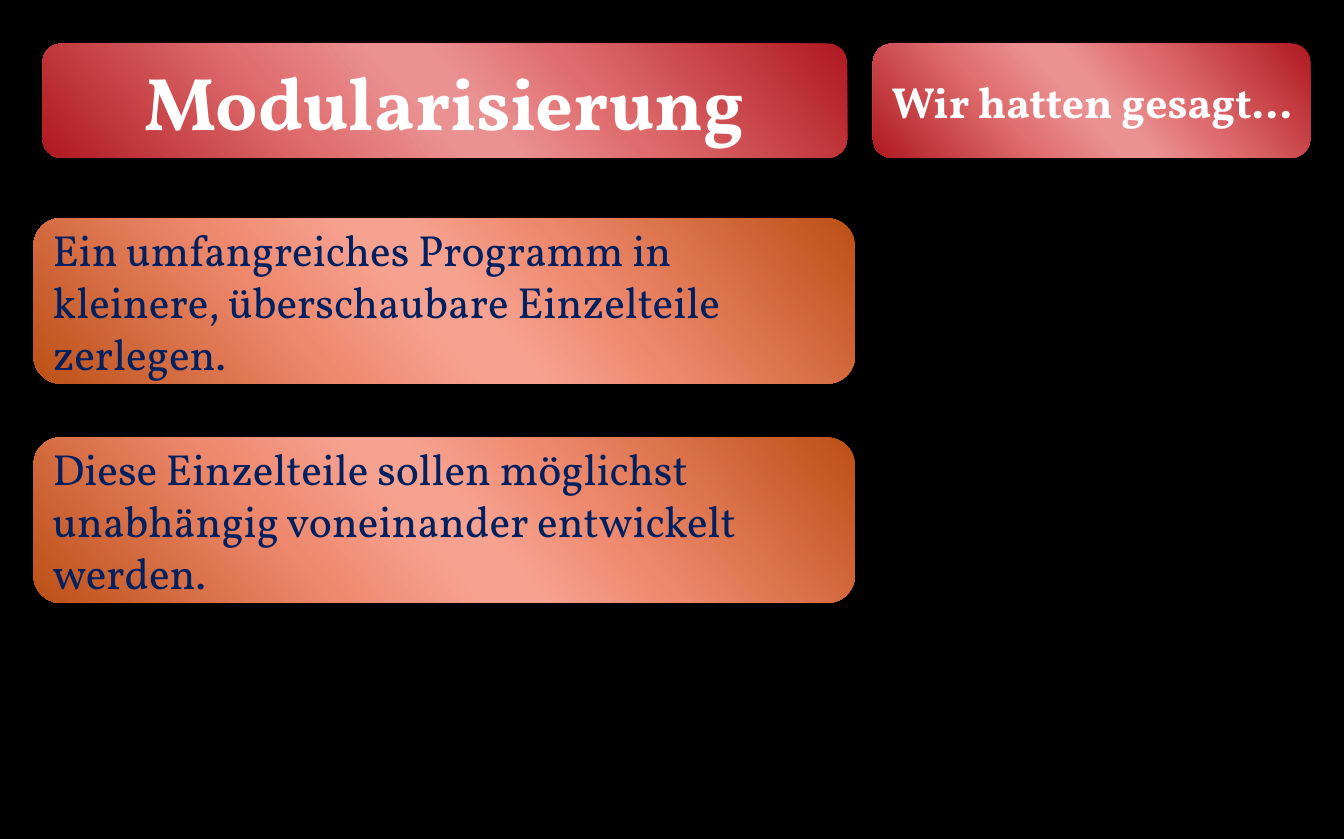
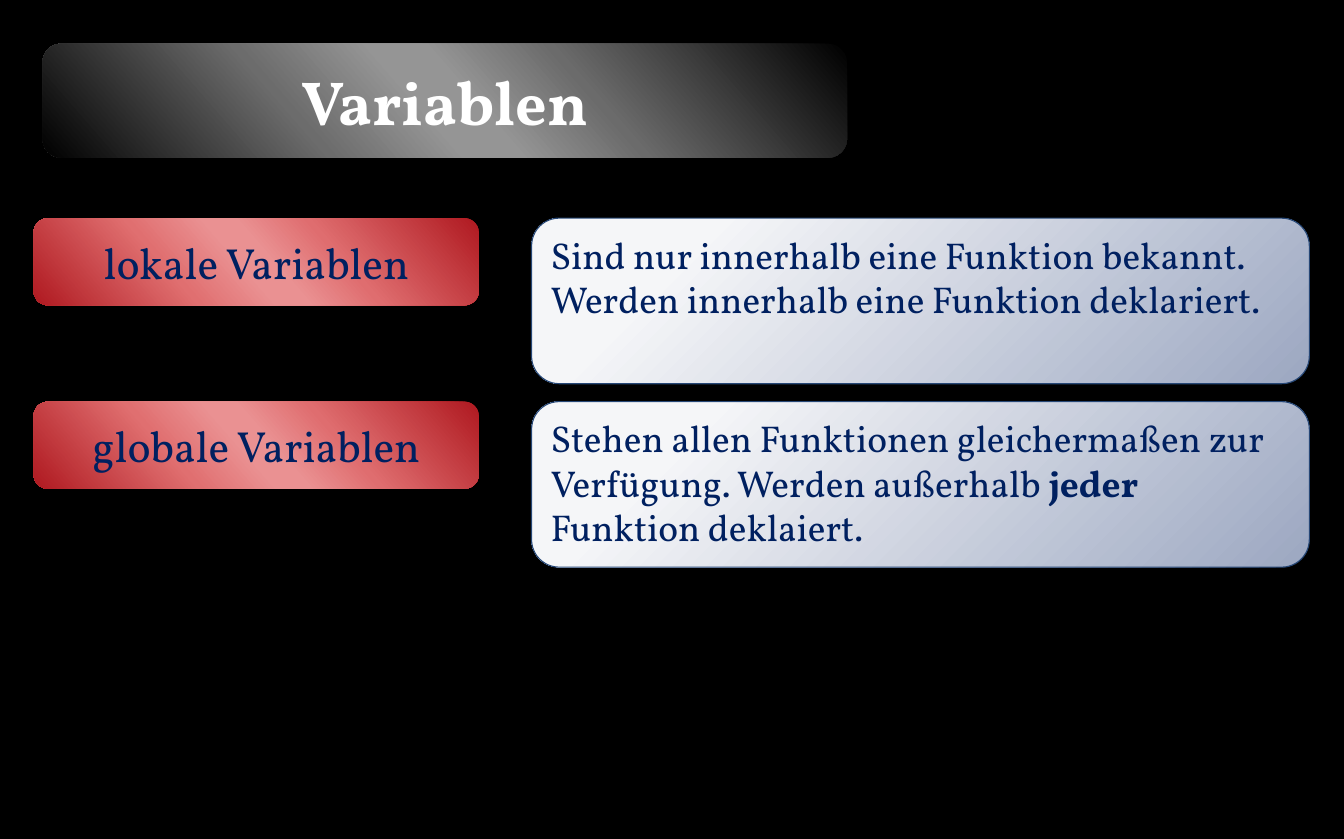
from dataclasses import dataclass

from pptx import Presentation
from pptx.dml.color import RGBColor
from pptx.enum.shapes import MSO_SHAPE
from pptx.enum.text import MSO_ANCHOR, MSO_AUTO_SIZE, PP_ALIGN
from pptx.oxml import parse_xml
from pptx.oxml.ns import nsdecls, qn
from pptx.shapes.autoshape import Shape
from pptx.slide import Slide
from pptx.text.text import TextFrame
from pptx.util import Pt

ROUNDED = MSO_SHAPE.ROUNDED_RECTANGLE
TOP, MIDDLE = MSO_ANCHOR.TOP, MSO_ANCHOR.MIDDLE
LEFT, CENTER = PP_ALIGN.LEFT, PP_ALIGN.CENTER
NO_AUTOFIT = MSO_AUTO_SIZE.NONE
TITLE_ONLY = 5

FONT = "Vollkorn"
BLACK = RGBColor(0x00, 0x00, 0x00)
WHITE = RGBColor(0xFF, 0xFF, 0xFF)
NAVY = RGBColor(0x00, 0x20, 0x60)
CARD_LINE = RGBColor(0x26, 0x47, 0x76)
RED = RGBColor(0xAF, 0x19, 0x20)
RED_SOFT = RGBColor(0xDF, 0x6D, 0x6F)
RED_SOFT_END = RGBColor(0xE0, 0x6F, 0x70)
RED_LIGHT = RGBColor(0xEA, 0x91, 0x92)
ORANGE = RGBColor(0xBC, 0x50, 0x16)
ORANGE_SOFT = RGBColor(0xEE, 0x88, 0x6C)
ORANGE_SOFT_END = RGBColor(0xEE, 0x89, 0x6E)
ORANGE_LIGHT = RGBColor(0xF6, 0xA2, 0x90)
GRAY = RGBColor(0x6B, 0x6B, 0x6B)
GRAY_END = RGBColor(0x6C, 0x6C, 0x6C)
GRAY_LIGHT = RGBColor(0x95, 0x95, 0x95)
CARD_LIGHT = RGBColor(0xF5, 0xF6, 0xF8)
CARD_DARK = RGBColor(0x9C, 0xA7, 0xC1)

# Shared grid, in points
HEAD_TOP, HEAD_HEIGHT = 28.08, 73.44
BODY_LEFT, BODY_TOP = 21.6, 140.4
CARD_HEIGHT = 106.56


@dataclass(frozen=True)
class Area:
    left: float
    top: float
    width: float
    height: float


@dataclass(frozen=True)
class Gradient:
    stops: tuple[tuple[int, RGBColor], ...]
    radial: bool = False


@dataclass(frozen=True)
class Span:
    text: str
    bold: bool = False


def metallic(edge: RGBColor, soft: RGBColor, light: RGBColor, soft_end: RGBColor) -> Gradient:
    """Diagonal gradient with a light band in the middle."""
    return Gradient(((0, edge), (33, soft), (47, light), (53, light), (68, soft_end), (100, edge)))


RED_METAL = metallic(RED, RED_SOFT, RED_LIGHT, RED_SOFT_END)
ORANGE_METAL = metallic(ORANGE, ORANGE_SOFT, ORANGE_LIGHT, ORANGE_SOFT_END)
BLACK_METAL = metallic(BLACK, GRAY, GRAY_LIGHT, GRAY_END)
CARD_GLOW = Gradient(((20, CARD_LIGHT), (100, CARD_DARK)), radial=True)

TITLE_AREA = Area(27.36, HEAD_TOP, 517.68, HEAD_HEIGHT)


def fill_gradient(box: Shape, gradient: Gradient) -> None:
    stops = "".join(
        f'<a:gs pos="{place * 1000}"><a:srgbClr val="{color}"/></a:gs>'
        for place, color in gradient.stops
    )
    if gradient.radial:
        direction = (
            '<a:path path="circle">'
            '<a:fillToRect l="-15000" t="-15000" r="115000" b="115000"/></a:path>'
        )
    else:
        direction = f'<a:lin ang="{139 * 60000}" scaled="0"/>'
    box.fill.gradient()
    properties = box._element.spPr
    properties.replace(
        properties.find(qn("a:gradFill")),
        parse_xml(
            f'<a:gradFill {nsdecls("a")} rotWithShape="1">'
            f"<a:gsLst>{stops}</a:gsLst>{direction}</a:gradFill>"
        ),
    )


def write(frame: TextFrame, *spans: Span, size: float, color: RGBColor = NAVY,
          align: PP_ALIGN = LEFT, anchor: MSO_ANCHOR = MIDDLE) -> None:
    frame.word_wrap = True
    frame.auto_size = NO_AUTOFIT
    frame.vertical_anchor = anchor
    para = frame.paragraphs[0]
    para.alignment = align
    for span in spans:
        run = para.add_run()
        run.text = span.text
        run.font.name = FONT
        run.font.size = Pt(size)
        run.font.bold = span.bold
        run.font.color.rgb = color


def add_box(page: Slide, area: Area, gradient: Gradient, line: RGBColor | None = None) -> Shape:
    box = page.shapes.add_shape(
        ROUNDED, Pt(area.left), Pt(area.top), Pt(area.width), Pt(area.height))
    box.shadow.inherit = False
    fill_gradient(box, gradient)
    if line is None:
        box.line.fill.background()
    else:
        box.line.color.rgb = line
        box.line.width = Pt(0.75)
    return box


def add_page(deck: Presentation, heading: str, size: float, gradient: Gradient) -> Slide:
    """Add a slide with its title on a rounded band."""
    page = deck.slides.add_slide(deck.slide_layouts[TITLE_ONLY])
    band = add_box(page, TITLE_AREA, gradient)
    title = page.shapes.title
    title._element.addprevious(band._element)
    title.left, title.top = band.left, band.top
    title.width, title.height = band.width, band.height
    write(title.text_frame, Span(heading, bold=True), size=size, color=WHITE, align=CENTER)
    return page


def add_modules_page(deck: Presentation) -> None:
    page = add_page(deck, "Modularisierung", 48, RED_METAL)

    # Statements
    statements = (
        "Ein umfangreiches Programm in kleinere, überschaubare Einzelteile zerlegen.",
        "Diese Einzelteile sollen möglichst unabhängig voneinander entwickelt werden.",
    )
    for row, statement in enumerate(statements):
        area = Area(BODY_LEFT, BODY_TOP + row * 141.12, 528.48, CARD_HEIGHT)
        write(add_box(page, area, ORANGE_METAL).text_frame, Span(statement), size=28)

    # Reminder beside the title
    reminder = add_box(page, Area(561.6, HEAD_TOP, 281.52, HEAD_HEIGHT), RED_METAL)
    write(reminder.text_frame, Span("Wir hatten gesagt...", bold=True),
          size=28, color=WHITE, align=CENTER)


def add_variables_page(deck: Presentation) -> None:
    page = add_page(deck, "Variablen", 40, BLACK_METAL)

    # Terms on the left, explanations on the right
    entries = (
        ("lokale Variablen", (
            Span("Sind nur innerhalb eine Funktion bekannt. "
                 "Werden innerhalb eine Funktion deklariert."),)),
        ("globale Variablen", (
            Span("Stehen allen Funktionen gleichermaßen zur Verfügung. Werden außerhalb "),
            Span("jeder", bold=True),
            Span(" Funktion deklaiert."))),
    )
    for row, (term, explanation) in enumerate(entries):
        top = BODY_TOP + row * 118.08
        label = add_box(page, Area(BODY_LEFT, top, 286.56, 56.16), RED_METAL)
        write(label.text_frame, Span(term), size=28, align=CENTER)
        card = add_box(page, Area(342, top, 500.4, CARD_HEIGHT), CARD_GLOW, CARD_LINE)
        write(card.text_frame, *explanation, size=24, anchor=TOP)


def main() -> None:
    deck = Presentation()
    deck.slide_width, deck.slide_height = Pt(864.72), Pt(540)

    # Black background for every slide
    background = deck.slide_master.background.fill
    background.solid()
    background.fore_color.rgb = BLACK

    add_modules_page(deck)
    add_variables_page(deck)
    deck.save("out.pptx")


if __name__ == "__main__":
    main()
